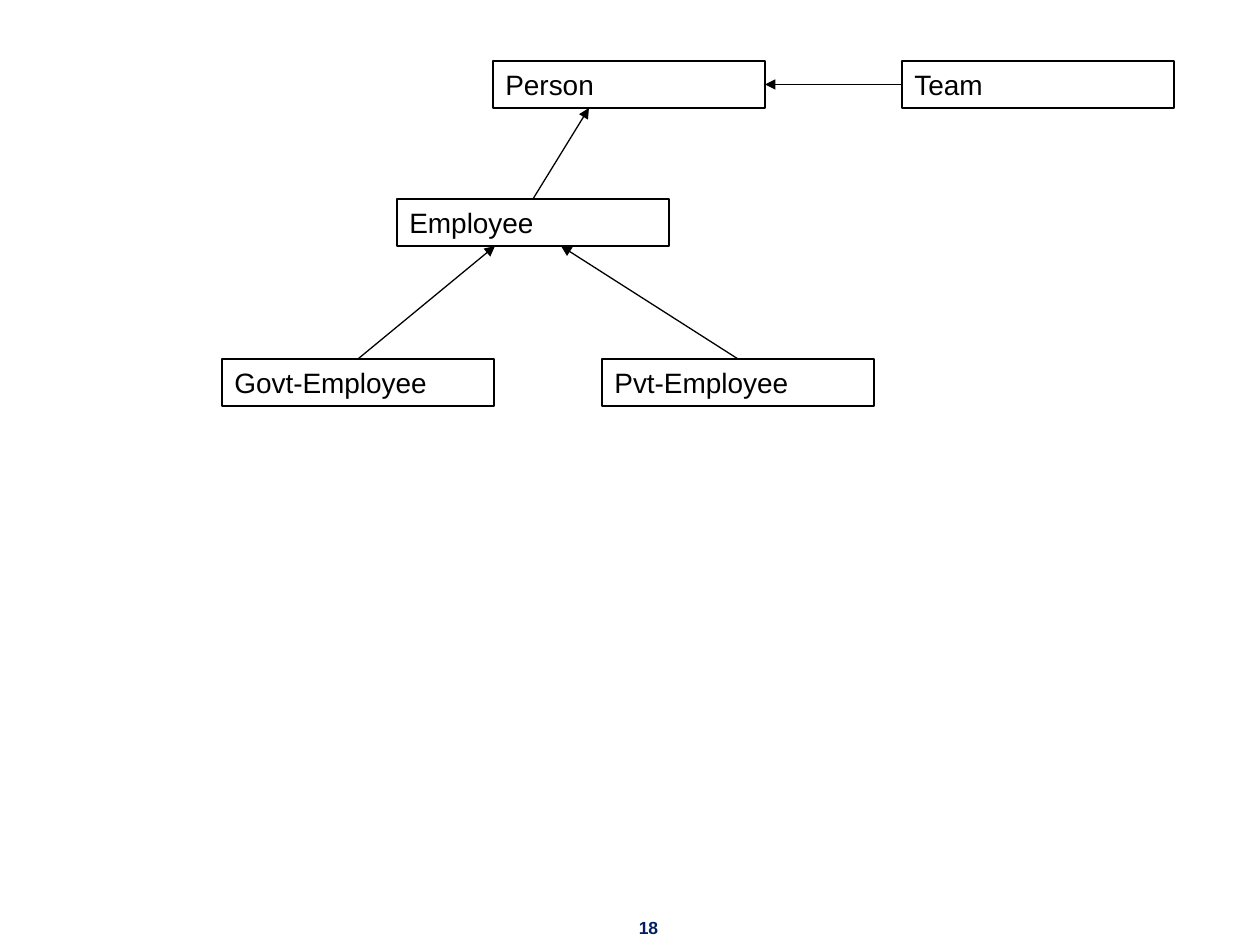
from lxml import etree
from pptx import Presentation
from pptx.dml.color import RGBColor
from pptx.enum.shapes import MSO_CONNECTOR, MSO_SHAPE
from pptx.enum.text import MSO_ANCHOR, PP_ALIGN
from pptx.oxml.ns import qn
from pptx.util import Emu, Pt

RECT, LINE = MSO_SHAPE.RECTANGLE, MSO_CONNECTOR.STRAIGHT
LEFT, CENTER = PP_ALIGN.LEFT, PP_ALIGN.CENTER
TOP = MSO_ANCHOR.TOP

# Content: class name -> left, top (px)
BOXES = {
    "Employee": (397, 199),
    "Pvt-Employee": (602, 359),
    "Govt-Employee": (222, 359),
    "Person": (493, 61),
    "Team": (902, 61),
}
# Child, parent, x where the arrow meets the parent's lower edge
RISES = [
    ("Employee", "Person", 589),
    ("Govt-Employee", "Employee", 495),
    ("Pvt-Employee", "Employee", 561),
]
SIDES = [("Team", "Person")]
PAGE = ("18", (625, 911, 47, 34))

BOX_W, BOX_H = 272, 47
SLIDE_W, SLIDE_H = 1260, 945
THEME = {
    "font": "Arial",
    "ink": RGBColor(0, 0, 0),
    "page": RGBColor(0x00, 0x20, 0x60),
    "label_size": Pt(16),
    "page_size": Pt(10),
    "line": Pt(0.75),
}


def px(n):
    return Emu(round(n * 914400 / 126))


def write(frame, text, size, color, align=LEFT, bold=False, wrap=True):
    frame.word_wrap = wrap
    frame.vertical_anchor = TOP
    para = frame.paragraphs[0]
    para.alignment = align
    run = para.add_run()
    run.text = text
    run.font.name = THEME["font"]
    run.font.size = size
    run.font.bold = bold
    run.font.color.rgb = color


def add_box(slide, name, left, top):
    box = slide.shapes.add_shape(RECT, px(left), px(top), px(BOX_W), px(BOX_H))
    box.shadow.inherit = False
    box.fill.background()
    box.line.color.rgb = THEME["ink"]
    box.line.width = THEME["line"]
    write(box.text_frame, name, THEME["label_size"], THEME["ink"])


def add_arrow(slide, start, end):
    ends = [px(n) for n in (*start, *end)]
    arrow = slide.shapes.add_connector(LINE, *ends)
    arrow.line.color.rgb = THEME["ink"]
    arrow.line.width = THEME["line"]
    props = arrow.element.spPr
    head = etree.SubElement(props.find(qn("a:ln")), qn("a:tailEnd"))
    head.set("type", "triangle")
    etree.SubElement(props, qn("a:effectLst"))


def main():
    deck = Presentation()
    deck.slide_width, deck.slide_height = px(SLIDE_W), px(SLIDE_H)
    slide = deck.slides.add_slide(deck.slide_layouts[6])

    # Page number
    text, area = PAGE
    label = slide.shapes.add_textbox(*[px(n) for n in area])
    write(label.text_frame, text, THEME["page_size"], THEME["page"],
          CENTER, bold=True, wrap=False)

    # Classes
    for name, (left, top) in BOXES.items():
        add_box(slide, name, left, top)

    # Arrows from the top middle of a child up to its parent
    for child, parent, x in RISES:
        left, top = BOXES[child]
        base = BOXES[parent][1] + BOX_H
        add_arrow(slide, (left + BOX_W / 2, top), (x, base))

    # Arrows from the left side of one class to the right side of another
    for source, target in SIDES:
        left, top = BOXES[source]
        mid = top + BOX_H / 2
        add_arrow(slide, (left, mid), (BOXES[target][0] + BOX_W, mid))

    deck.save("out.pptx")


if __name__ == "__main__":
    main()
